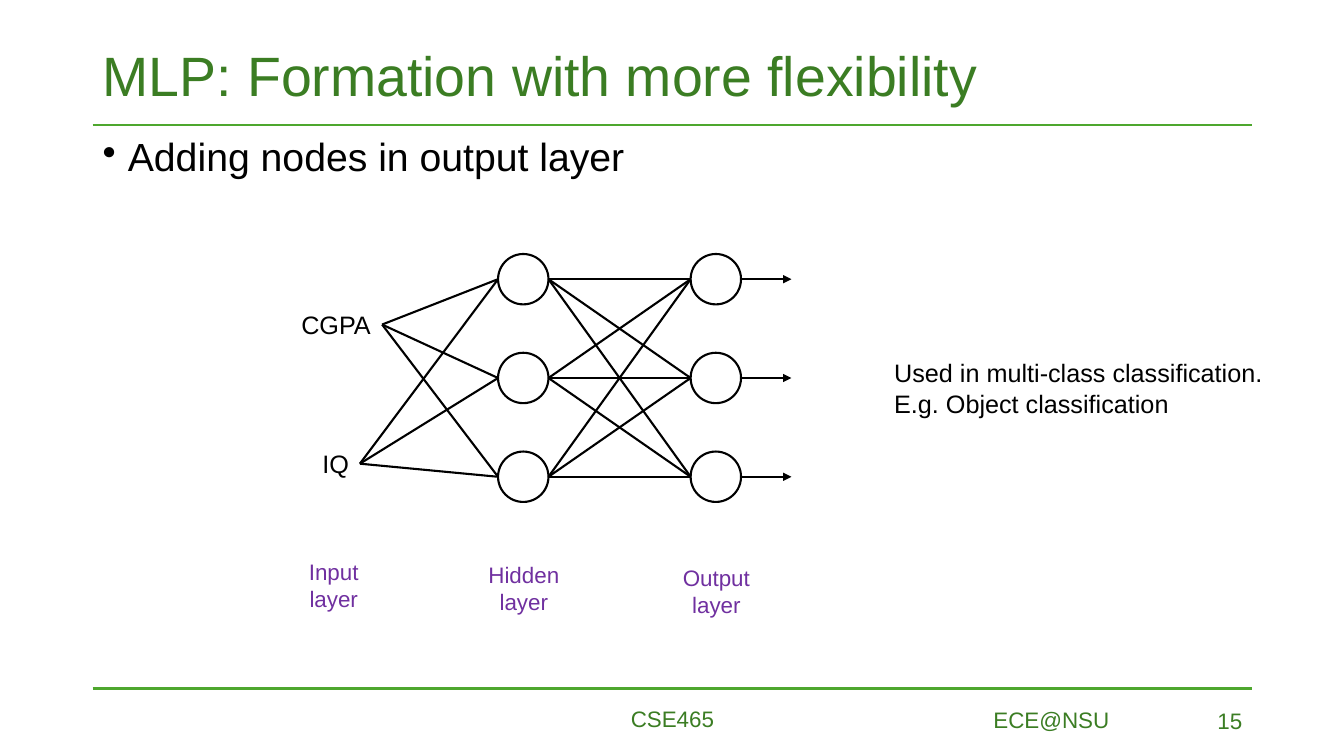
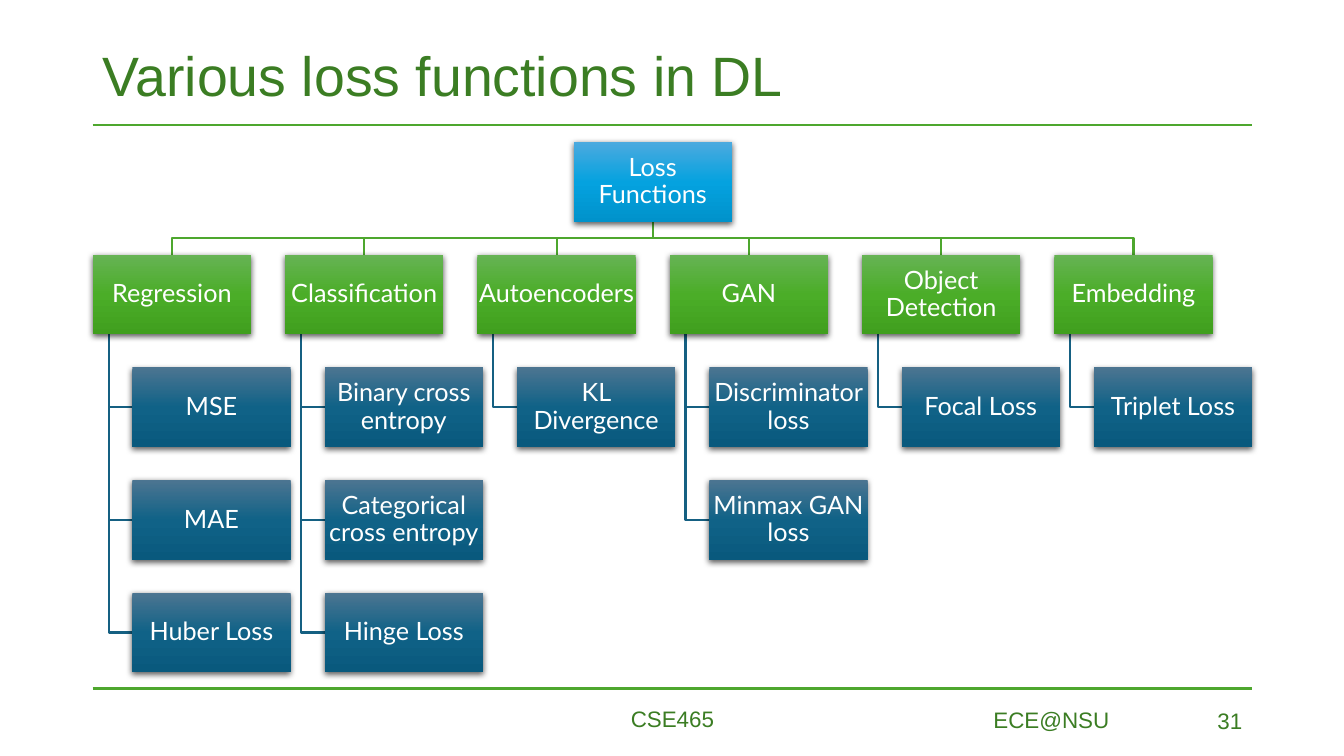
from itertools import product

from pptx import Presentation
from pptx.dml.color import RGBColor
from pptx.enum.shapes import MSO_CONNECTOR as CXN, MSO_SHAPE as SHAPE
from pptx.enum.text import MSO_ANCHOR as ANCHOR, PP_ALIGN as ALIGN
from pptx.oxml import parse_xml
from pptx.oxml.ns import nsdecls, qn
from pptx.oxml.xmlchemy import OxmlElement
from pptx.util import Inches, Pt

GREEN, DARK_GREEN, TEAL = "4EA72E", "3B7D23", "156082"
BLACK, WHITE, PURPLE = "000000", "FFFFFF", "7030A0"
ROOT_STOPS = ("4CAADF", "05A2DF", "0092CB")
GROUP_STOPS = ("66B354", "4BAD28", "409F1E")
LOSS_STOPS = ("4C7591", "106287", "09597D")

TITLE = dict(size=39.6, color=DARK_GREEN, anchor=ANCHOR.MIDDLE, spacing=0.9)
BODY = dict(size=28, spacing=0.9, bullet=True)
FOOTER = dict(size=16, color=DARK_GREEN)
FOOTER_RIGHT = dict(FOOTER, align=ALIGN.RIGHT, anchor=ANCHOR.MIDDLE)
LAYER = dict(size=16, color=PURPLE, align=ALIGN.CENTER)
NOTE = dict(size=18, wrap=False)
CARD = dict(size=18, font="Lato", color=WHITE, align=ALIGN.CENTER,
            anchor=ANCHOR.MIDDLE, spacing=0.9, inset=0.01)

LOSSES = {
    "Regression": ["MSE", "MAE", "Huber Loss"],
    "Classification": ["Binary cross entropy", "Categorical cross entropy", "Hinge Loss"],
    "Autoencoders": ["KL Divergence"],
    "GAN": ["Discriminator loss", "Minmax GAN loss"],
    "Object Detection": ["Focal Loss"],
    "Embedding": ["Triplet Loss"],
}


def paint(fmt, color):
    fmt.solid()
    fmt.fore_color.rgb = RGBColor.from_string(color)


def add_bullet(p):
    pPr = p._p.get_or_add_pPr()
    pPr.set("marL", str(Inches(0.25)))
    pPr.set("indent", str(-Inches(0.25)))
    bu = OxmlElement("a:buChar")
    bu.set("char", "•")
    pPr.append(bu)


def write(sp, text, size, font="Arial", color=BLACK, align=ALIGN.LEFT,
          anchor=ANCHOR.TOP, spacing=1.0, wrap=True, inset=None, bullet=False):
    tf = sp.text_frame
    frame_format = dict(word_wrap=wrap, vertical_anchor=anchor)
    if inset is not None:
        for side in ("left", "top", "right", "bottom"):
            frame_format[f"margin_{side}"] = Inches(inset)
    for name, value in frame_format.items():
        setattr(tf, name, value)
    for i, line in enumerate(text.split("\n")):
        p = tf.paragraphs[0] if i == 0 else tf.add_paragraph()
        for name, value in dict(alignment=align, line_spacing=spacing).items():
            setattr(p, name, value)
        if bullet:
            add_bullet(p)
        r = p.add_run()
        r.text = line
        for name, value in dict(name=font, size=Pt(size)).items():
            setattr(r.font, name, value)
        paint(r.font.fill, color)


def add_text(s, box, text, style):
    sp = s.shapes.add_textbox(*map(Inches, box))
    write(sp, text, **style)


def add_line(s, start, end, color=BLACK, width=1.5, arrow=False):
    cxn = s.shapes.add_connector(CXN.STRAIGHT, *map(Inches, (*start, *end)))
    paint(cxn.line.fill, color)
    cxn.line.width = Pt(width)
    if arrow:
        head = OxmlElement("a:tailEnd")
        head.set("type", "triangle")
        cxn.line._get_or_add_ln().append(head)
    cxn._element.spPr.append(OxmlElement("a:effectLst"))


def add_elbow(s, points, color):
    points = [(Inches(x), Inches(y)) for x, y in points]
    builder = s.shapes.build_freeform(*points[0])
    builder.add_line_segments(points[1:], close=False)
    sp = builder.convert_to_shape()
    sp.shadow.inherit = False
    sp.fill.background()
    paint(sp.line.fill, color)
    sp.line.width = Pt(1.5)


def add_node(s, x, y, size):
    sp = s.shapes.add_shape(SHAPE.OVAL, *map(Inches, (x, y, size, size)))
    sp.shadow.inherit = False
    paint(sp.fill, WHITE)
    paint(sp.line.fill, BLACK)
    sp.line.width = Pt(1.5)


def add_card(s, box, text, stops):
    sp = s.shapes.add_shape(SHAPE.RECTANGLE, *map(Inches, box))
    gs = "".join(f'<a:gs pos="{i * 50000}"><a:srgbClr val="{c}"/></a:gs>'
                 for i, c in enumerate(stops))
    spPr = sp._element.spPr
    spPr.append(parse_xml(f'<a:gradFill {nsdecls("a")}><a:gsLst>{gs}</a:gsLst>'
                          '<a:lin ang="5400000" scaled="0"/></a:gradFill>'))
    sp.line.fill.background()
    sp.shadow.inherit = False
    spPr.find(qn("a:effectLst")).append(parse_xml(
        f'<a:outerShdw {nsdecls("a")} blurRad="{Pt(4.5)}" dist="{Pt(1.5)}" '
        'dir="5400000" algn="ctr" rotWithShape="0"><a:srgbClr val="000000">'
        '<a:alpha val="63000"/></a:srgbClr></a:outerShdw>'))
    write(sp, text, **CARD)


def add_frame(prs, title, number):
    s = prs.slides.add_slide(prs.slide_layouts[6])
    left, width = 0.92, 11.5
    for y in (1.24, 6.83):
        add_line(s, (left, y), (left + width, y), GREEN, 2)
    add_text(s, (left, 0.4, width, 0.75), title, TITLE)
    add_text(s, (4.42, 6.95, 4.5, 0.4), "CSE465", FOOTER)
    s.shapes[-1].text_frame.paragraphs[0].alignment = ALIGN.CENTER
    add_text(s, (9.49, 6.94, 1.61, 0.39), "ECE@NSU", FOOTER_RIGHT)
    add_text(s, (9.42, 6.95, 3, 0.4), str(number), FOOTER_RIGHT)
    return s


def add_network(s, x, y):
    size, step = 0.5, 0.98
    hidden_x, output_x = x + 2.05, x + 3.96
    rows = [y + i * step for i in range(3)]
    mids = [row + size / 2 for row in rows]
    inputs = [("CGPA", x, y + 0.5, 0.9), ("IQ", x + 0.21, y + 1.88, 0.47)]
    for node_x, row in product((hidden_x, output_x), rows):
        add_node(s, node_x, row, size)
    for (name, left, top, width), mid in product(inputs, mids):
        if mid == mids[0]:
            add_text(s, (left, top, width, 0.4), name, NOTE)
        add_line(s, (left + width, top + 0.2), (hidden_x, mid))
    for start, end in product(mids, mids):
        add_line(s, (hidden_x + size, start), (output_x, end))
    for mid in mids:
        add_line(s, (output_x + size, mid), (output_x + 2 * size, mid), arrow=True)
    layers = [("Input layer", x, 0.84), ("Hidden layer", hidden_x - 0.25, 1.01),
              ("Output layer", output_x - 0.25, 1.01)]
    for i, (name, left, width) in enumerate(layers):
        add_text(s, (left, y + 2.97 + 0.03 * i, width, 0.64), name, LAYER)


def add_loss_tree(s, x, y, width, height):
    w, h = 1.57, 0.79
    indent, trunk = w / 4, w / 10
    col_step = (width - w - indent) / (len(LOSSES) - 1)
    row_step = (height - h) / 4
    lefts = [x + i * col_step for i in range(len(LOSSES))]
    root_x = (lefts[0] + lefts[-1]) / 2
    root_mid, group_y = root_x + w / 2, y + row_step
    bus_y = (y + h + group_y) / 2
    cards = [(root_x, y, "Loss Functions", ROOT_STOPS)]
    for left, (group, losses) in zip(lefts, LOSSES.items()):
        mid = left + w / 2
        add_elbow(s, [(root_mid, y + h), (root_mid, bus_y), (mid, bus_y), (mid, group_y)], GREEN)
        cards.append((left, group_y, group, GROUP_STOPS))
        for i, loss in enumerate(losses, 1):
            loss_y = group_y + i * row_step
            add_elbow(s, [(left + trunk, group_y + h), (left + trunk, loss_y + h / 2),
                          (left + indent, loss_y + h / 2)], TEAL)
            cards.append((left + indent, loss_y, loss, LOSS_STOPS))
    for left, top, text, stops in cards:
        add_card(s, (left, top, w, h), text, stops)


def build_mlp_slide(prs):
    s = add_frame(prs, "MLP: Formation with more flexibility", 15)
    add_text(s, (0.92, 1.32, 11.5, 5.43), "Adding nodes in output layer", BODY)
    add_network(s, 2.89, 2.52)
    add_text(s, (8.77, 3.5, 3.89, 0.71),
             "Used in multi-class classification.\nE.g. Object classification", NOTE)


def build_loss_slide(prs):
    s = add_frame(prs, "Various loss functions in DL", 31)
    add_loss_tree(s, 0.92, 1.41, 11.5, 5.26)


def main():
    prs = Presentation()
    prs.slide_width, prs.slide_height = Inches(13.33), Inches(7.5)
    build_mlp_slide(prs)
    build_loss_slide(prs)
    prs.save("out.pptx")


if __name__ == "__main__":
    main()
